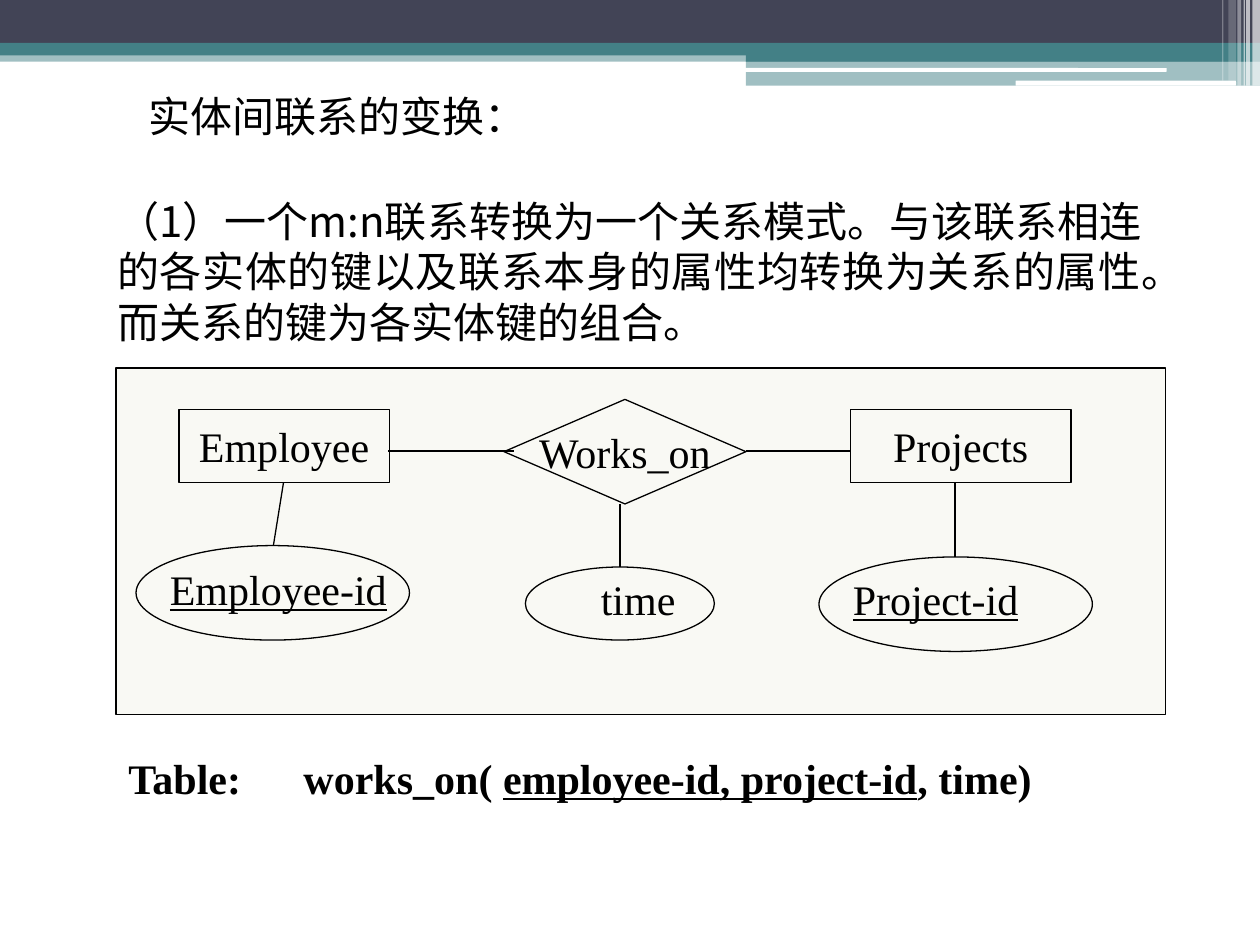
from pptx import Presentation
from pptx.dml.color import RGBColor
from pptx.enum import shapes, text
from pptx.oxml.ns import qn
from pptx.util import Inches, Pt

CJK, LATIN = "Noto Sans CJK SC", "Times New Roman"
INK, PANEL, WHITE, NAVY, TEAL = "000000", "F9F9F4", "FFFFFF", "424456", "438086"
KIND = shapes.MSO_SHAPE

# Content
HEADING = "实体间联系的变换："
RULE = ("（1）一个m:n联系转换为一个关系模式。与该联系相连的各实体的键以及联系本身的属性"
        "均转换为关系的属性。而关系的键为各实体键的组合。")
RELATION = [("Table:\tworks_on( ", False), ("employee-id, project-id", True), (", time)", False)]

# Banner: left, top, width, height, colour, opacity in percent
BANDS = [
    (0, 0.4, 10, 0.09, TEAL, 50),
    (0, 0, 10, 0.34, NAVY, 100),
    (0, 0.34, 10, 0.1, TEAL, 100),
    (5.92, 0.39, 4.08, 0.1, TEAL, 100),
    (5.92, 0.48, 4.08, 0.2, TEAL, 50),
]
RULES = [(5.91, 0.54, 3.35, 0.03), (8.06, 0.64, 1.75, 0.04)]
# Stripes: left, width, height, opacity
STRIPES = [(9.94, 0.06, 0.68, 65), (9.89, 0.03, 0.68, 65), (9.87, 0.01, 0.68, 60),
           (9.82, 0.03, 0.68, 40), (9.75, 0.06, 0.64, 20), (9.7, 0.01, 0.64, 30)]

# Diagram
NODES = [
    ("Employee", KIND.RECTANGLE, (1.42, 3.25, 1.67, 0.58)),
    ("Projects", KIND.RECTANGLE, (6.75, 3.25, 1.75, 0.58)),
    ("Works_on", KIND.DIAMOND, (4, 3.17, 1.92, 0.83)),
]
# Attributes: label, is key, ellipse, label box
ATTRIBUTES = [
    ("time", False, (4.17, 4.5, 1.5, 0.58), (4.67, 4.5, 0.85, 0.5)),
    ("Employee-id", True, (1.08, 4.33, 2.17, 0.75), (1.25, 4.42, 2, 0.5)),
    ("Project-id", True, (6.5, 4.42, 2.17, 0.75), (6.67, 4.5, 1.6, 0.5)),
]
LINKS = [(3.08, 3.58, 4.08, 3.58), (5.92, 3.58, 6.75, 3.58), (4.92, 4, 4.92, 4.5),
         (2.25, 3.83, 2.17, 4.33), (7.58, 3.83, 7.58, 4.42)]

prs = Presentation()
prs.slide_width, prs.slide_height = Inches(10), Inches(7.5)
slide = prs.slides.add_slide(prs.slide_layouts[1])


def rgb(colour):
    return RGBColor.from_string(colour)


def inches(box):
    return [Inches(v) for v in box]


def add_shape(kind, box, fill=None, line=None, opacity=100):
    shape = slide.shapes.add_shape(kind, *inches(box))
    shape.shadow.inherit = False
    if fill:
        shape.fill.solid()
        shape.fill.fore_color.rgb = rgb(fill)
        if opacity < 100:
            colour = shape._element.spPr.find(qn("a:solidFill"))[0]
            colour.append(colour.makeelement(qn("a:alpha"), {"val": str(opacity * 1000)}))
    else:
        shape.fill.background()
    if line:
        shape.line.color.rgb = rgb(line)
        shape.line.width = Pt(0.75)
    else:
        shape.line.fill.background()
    return shape


def style_run(run, font=LATIN, bold=False, underline=False):
    run.font.size, run.font.name = Pt(24), font
    run.font.bold, run.font.underline = bold, underline
    run.font.color.rgb = rgb(INK)
    if font == CJK:
        props = run.font._element
        east_asian = props.makeelement(qn("a:ea"), {"typeface": font})
        props.find(qn("a:latin")).addnext(east_asian)


def add_label(box, wrap):
    frame = slide.shapes.add_textbox(*inches(box)).text_frame
    frame.word_wrap = wrap
    return frame


def fill_placeholder(holder, content, box, align):
    holder.left, holder.top, holder.width, holder.height = inches(box)
    frame = holder.text_frame
    frame.text = content
    frame.word_wrap = True
    frame.auto_size = text.MSO_AUTO_SIZE.NONE
    frame.vertical_anchor = text.MSO_ANCHOR.TOP
    para = frame.paragraphs[0]
    para.alignment = align
    para.space_before, para.line_spacing = Pt(0), Pt(28.8)
    props = para._p.get_or_add_pPr()
    props.set("marL", "0")
    props.set("indent", "0")
    props.append(props.makeelement(qn("a:buNone"), {}))
    style_run(para.runs[0], CJK)


# Banner
for *box, colour, opacity in BANDS:
    add_shape(KIND.RECTANGLE, box, colour, opacity=opacity)
for box in RULES:
    add_shape(KIND.ROUNDED_RECTANGLE, box, WHITE)
for left, width, height, opacity in STRIPES:
    add_shape(KIND.RECTANGLE, (left, 0, width, height), WHITE, opacity=opacity)

# Heading and rule
heading, rule = slide.placeholders
fill_placeholder(heading, HEADING, (1.08, 0.67, 8.08, 0.5), text.PP_ALIGN.LEFT)
fill_placeholder(rule, RULE, (0.83, 1.5, 8.33, 1.3), text.PP_ALIGN.JUSTIFY)

# Entity-relationship diagram
add_shape(KIND.RECTANGLE, (0.92, 2.92, 8.33, 2.75), PANEL, INK)
for name, kind, box in NODES:
    frame = add_shape(kind, box, line=INK).text_frame
    frame.text = name
    frame.word_wrap = False
    frame.vertical_anchor = text.MSO_ANCHOR.MIDDLE
    frame.paragraphs[0].alignment = text.PP_ALIGN.CENTER
    style_run(frame.paragraphs[0].runs[0])
for name, is_key, ellipse, box in ATTRIBUTES:
    add_shape(KIND.OVAL, ellipse, line=INK)
    frame = add_label(box, wrap=False)
    frame.text = name
    frame.paragraphs[0].alignment = text.PP_ALIGN.LEFT
    style_run(frame.paragraphs[0].runs[0], underline=is_key)
for ends in LINKS:
    link = slide.shapes.add_connector(shapes.MSO_CONNECTOR.STRAIGHT, *inches(ends))
    link.line.color.rgb = rgb(INK)
    link.line.width = Pt(0.75)
    props = link._element.spPr
    props.append(props.makeelement(qn("a:effectLst"), {}))

# Resulting relation, with a tab stop after "Table:"
para = add_label((0.92, 5.92, 8.08, 0.5), wrap=True).paragraphs[0]
for part, is_key in RELATION:
    run = para.add_run()
    run.text = part
    style_run(run, bold=True, underline=is_key)
props = para._p.get_or_add_pPr()
tabs = props.makeelement(qn("a:tabLst"), {})
tabs.append(tabs.makeelement(qn("a:tab"), {"pos": str(Inches(1.39)), "algn": "l"}))
props.append(tabs)

prs.save("out.pptx")
